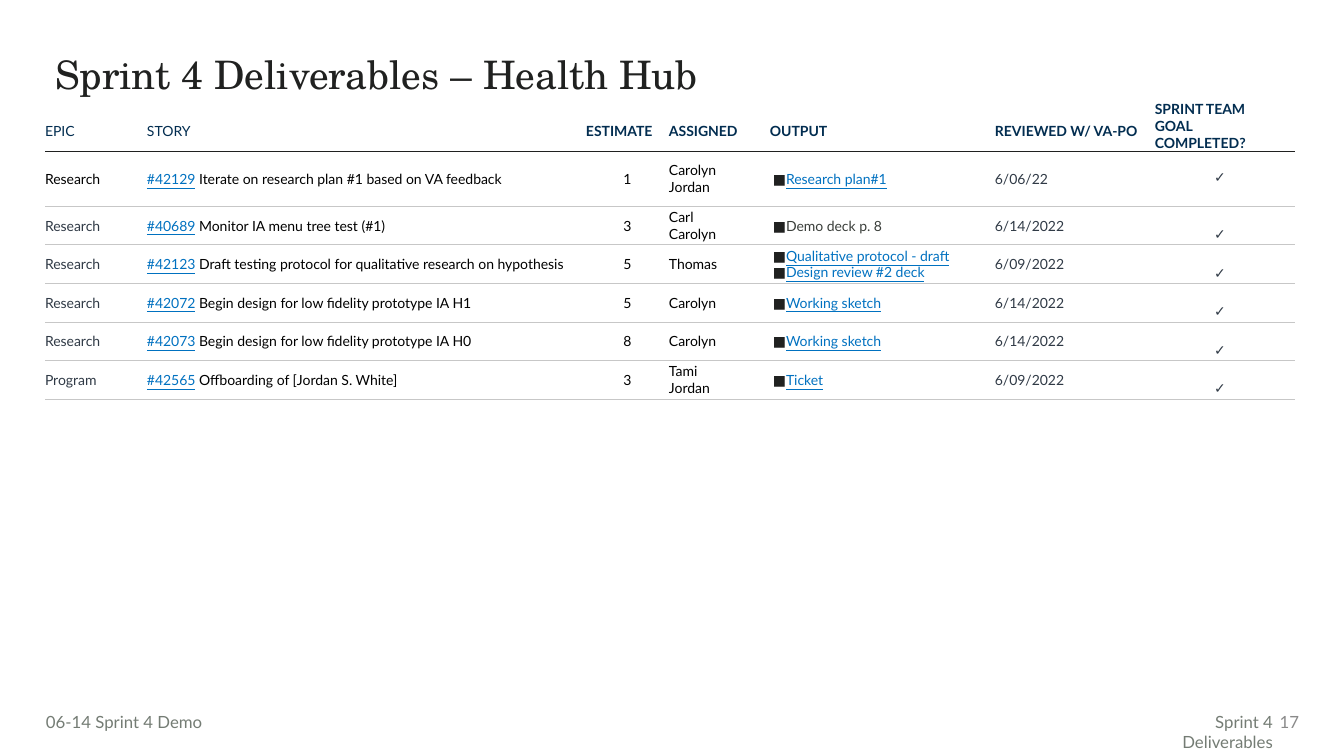
from pptx import Presentation
from pptx.dml.color import RGBColor
from pptx.enum.text import MSO_ANCHOR as Anchor, MSO_AUTO_SIZE as Fit, PP_ALIGN as Align
from pptx.oxml.ns import qn
from pptx.util import Pt
from lxml.etree import SubElement as Sub

SCALE = 914400 / 100.8
SANS, SERIF = "Lato", "TeX Gyre Schola"
INK, NAVY, SLATE, BLACK = "202120", "022D50", "303A46", "000000"
LINK, RULE, GREY = "0071C0", "C7C7C7", "747C74"

COLS = [102, 439, 83, 101, 225, 150, 150]
HEADS = ["EPIC", "STORY", "ESTIMATE", "ASSIGNED", "OUTPUT",
         "REVIEWED W/ VA-PO", "SPRINT TEAM GOAL COMPLETED?"]
# Epic, ticket, story, estimate, people, outputs, review date
STORIES = [
    ("Research", "#42129", "Iterate on research plan #1 based on VA feedback", "1",
     ["Carolyn", "Jordan"], ["Research plan#1"], "6/06/22"),
    ("Research", "#40689", "Monitor IA menu tree test (#1)", "3",
     ["Carl", "Carolyn"], ["Demo deck p. 8"], "6/14/2022"),
    ("Research", "#42123", "Draft testing protocol for qualitative research on hypothesis", "5",
     ["Thomas"], ["Qualitative protocol - draft", "Design review #2 deck"], "6/09/2022"),
    ("Research", "#42072", "Begin design for low fidelity prototype IA H1", "5",
     ["Carolyn"], ["Working sketch"], "6/14/2022"),
    ("Research", "#42073", "Begin design for low fidelity prototype IA H0", "8",
     ["Carolyn"], ["Working sketch"], "6/14/2022"),
    ("Program", "#42565", "Offboarding of [Jordan S. White]", "3",
     ["Tami", "Jordan"], ["Ticket"], "6/09/2022"),
]
PLAIN = {"Demo deck p. 8"}  # outputs without a link


def px(n):
    return round(n * SCALE)


def color(code):
    return RGBColor.from_string(code)


def style(font, size, code, bold=False, name=SANS):
    font.name, font.size, font.bold = name, Pt(size), bold
    font.color.rgb = color(code)


def inset(box, left, top, right, bottom):
    box.margin_left, box.margin_top = px(left), px(top)
    box.margin_right, box.margin_bottom = px(right), px(bottom)


def bullet(para):
    props = para._p.get_or_add_pPr()
    props.set("marL", str(px(13)))
    props.set("indent", str(px(-10)))
    Sub(Sub(props, qn("a:buClr")), qn("a:srgbClr"), val=INK)
    Sub(props, qn("a:buFont"), typeface=SANS)
    Sub(props, qn("a:buChar"), char="■")


def edge(cell, side, code, width):
    line = Sub(cell._tc.get_or_add_tcPr(), qn("a:" + side), w=str(Pt(width)))
    Sub(Sub(line, qn("a:solidFill")), qn("a:srgbClr"), val=code)


def write(cell, lines, code, pad, align=Align.LEFT, bold=False, marks=False):
    """Fill a cell; each line is a list of (text, is link) runs."""
    inset(cell, *pad)
    cell.vertical_anchor = Anchor.MIDDLE
    frame = cell.text_frame
    for i, runs in enumerate(lines):
        para = frame.add_paragraph() if i else frame.paragraphs[0]
        para.alignment = align
        if marks:
            bullet(para)
        style(para.font, 10, code, bold)
        for text, link in runs:
            run = para.add_run()
            run.text = text
            if link:
                run.font.underline = True
                run.font.color.rgb = color(LINK)


def head(cells):
    for i, (cell, text) in enumerate(zip(cells, HEADS)):
        last = i == len(HEADS) - 1
        pad = (10, 0, 10, 0) if last else (0, 10, 0 if i > 3 else 10, 0)
        write(cell, [[(text, False)]], NAVY, pad, bold=i > 1)
        if last:
            cell.vertical_anchor = Anchor.TOP
        edge(cell, "lnB", INK, 1)
        cell.fill.background()


def entry(cells, story, first):
    epic, ticket, title, points, people, outputs, date = story
    flush, narrow = (0, 0, 0, 0), (0, 0, 40, 0)
    write(cells[0], [[(epic, False)]], BLACK if first else SLATE, narrow)
    write(cells[1], [[(ticket, True), (" " + title, False)]], BLACK, flush)
    write(cells[2], [[(points, False)]], BLACK, flush, Align.CENTER)
    write(cells[3], [[(name, False)] for name in people], BLACK, narrow)
    write(cells[4], [[(item, item not in PLAIN)] for item in outputs],
          "3A3E3A", flush, marks=True)
    write(cells[5], [[(date, False)]], SLATE, flush)
    write(cells[6], [[("✓", False)]], SLATE, (0, 17, 0, 0), Align.CENTER)
    if first:
        cells[6].vertical_anchor = Anchor.TOP
    for cell in cells:
        edge(cell, "lnT", INK if first else RULE, 1 if first else 0.75)
        edge(cell, "lnB", RULE, 0.75)
        cell.fill.background()


def grid(slide, left, top, width, height):
    shape = slide.shapes.add_table(len(STORIES) + 1, len(COLS),
                                   px(left), px(top), px(width), px(height))
    table = shape.table
    table.first_row = table.horz_banding = False
    # Plain style without grid lines
    table._tbl.tblPr.find(qn("a:tableStyleId")).text = "{2D5ABB26-0587-4C30-8999-92F81FD0307C}"
    for col, size in zip(table.columns, COLS):
        col.width = px(size)
    # Header and first story have their own height; the rest share what is left
    tops = [40, 55]
    share = (height - sum(tops)) / (len(STORIES) - 1)
    for i, row in enumerate(table.rows):
        row.height = px(tops[i] if i < len(tops) else share)
        if i:
            entry(list(row.cells), STORIES[i - 1], i == 1)
        else:
            head(row.cells)


def title(slide, left, top, width, height):
    shape = slide.shapes.title
    shape.left, shape.top, shape.width, shape.height = map(px, (left, top, width, height))
    frame = shape.text_frame
    frame.text = "Sprint 4 Deliverables – Health Hub"
    frame.auto_size, frame.vertical_anchor = Fit.NONE, Anchor.TOP
    inset(frame, 10, 5, 10, 5)
    para = frame.paragraphs[0]
    para.alignment, para.line_spacing = Align.LEFT, 0.9
    style(para.font, 28, INK, name=SERIF)


def note(slide, text, box, code=GREY, align=Align.RIGHT, pad=10, anchor=Anchor.TOP):
    frame = slide.shapes.add_textbox(*map(px, box)).text_frame
    frame.word_wrap, frame.vertical_anchor = True, anchor
    inset(frame, pad, 5, 10, 5)
    para = frame.paragraphs[0]
    para.text, para.alignment = text, align
    style(para.font, 12, code)


def footer(slide, left, top, width, height):
    note(slide, "06-14 Sprint 4 Demo", (left, top, 300, height), align=Align.LEFT, pad=0)
    right = left + width
    note(slide, "Sprint 4 Deliverables", (right - 191, top, 165, height))
    note(slide, "17", (right - 44, top - 5, 44, 40), "8A8A8A", anchor=Anchor.MIDDLE)


def main():
    deck = Presentation()
    deck.slide_width, deck.slide_height = px(1344), px(756)
    slide = deck.slides.add_slide(deck.slide_layouts[5])
    title(slide, 45, 51, 1252, 83)
    grid(slide, 45, 101, 1250, 288)
    footer(slide, 46, 707, 1263, 30)
    deck.save("out.pptx")


if __name__ == "__main__":
    main()
